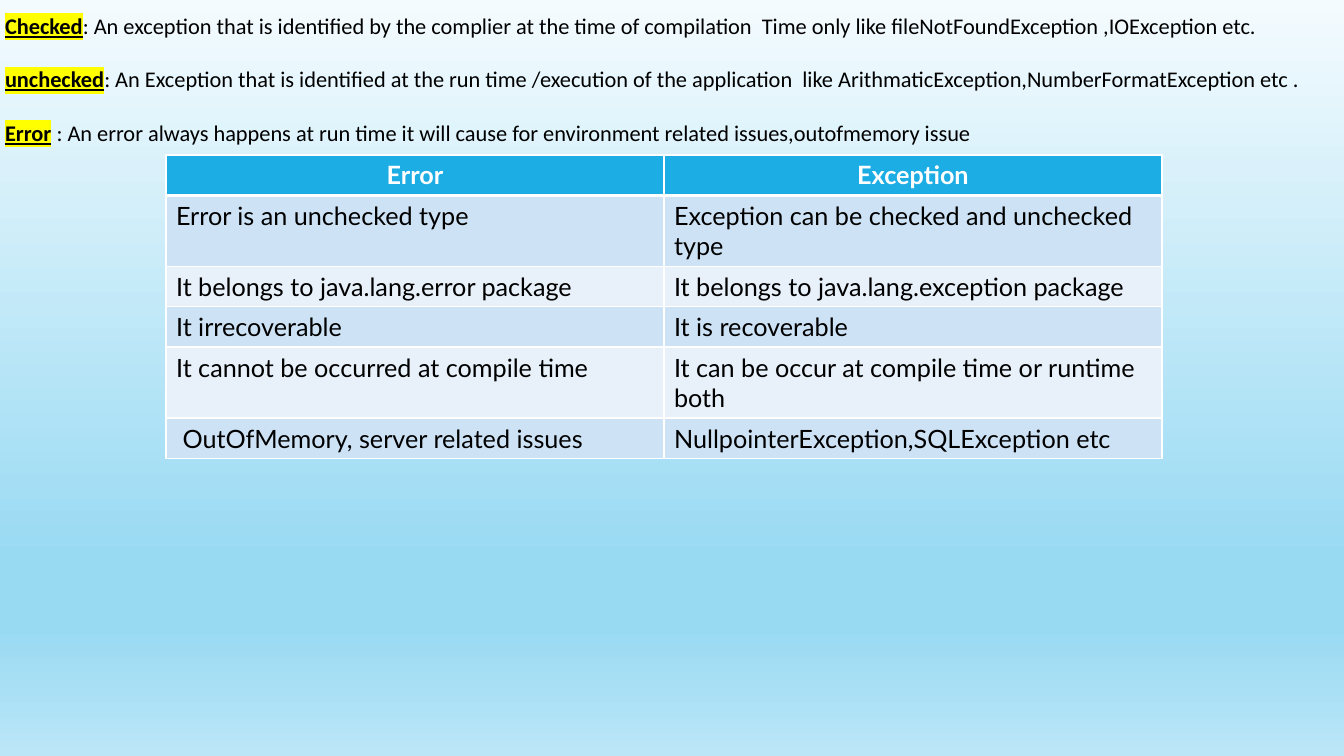
from dataclasses import dataclass

from lxml import etree
from pptx import Presentation
from pptx.dml.color import RGBColor
from pptx.enum.text import MSO_AUTO_SIZE, MSO_VERTICAL_ANCHOR, PP_ALIGN
from pptx.oxml.ns import qn
from pptx.util import Pt

PX = 914400 / 100.8
CENTER, LEFT = PP_ALIGN.CENTER, PP_ALIGN.LEFT
TOP = MSO_VERTICAL_ANCHOR.TOP
NO_AUTOFIT = MSO_AUTO_SIZE.NONE
TITLE_AND_CONTENT = 1


@dataclass(frozen=True)
class Theme:
    """Colours, fonts and type sizes of the slide."""
    sky: tuple = ((0, "F4FBFE"), (74, "99DAF3"), (83, "99DAF3"), (100, "BBE6F7"))
    ink: str = "000000"
    white: str = "FFFFFF"
    marker: str = "FFFF00"
    header: str = "1CADE4"
    bands: tuple = ("CDE3F5", "E8F1FA")
    body_font: str = "Calibri"
    table_font: str = "Lato"
    body_size: int = 16
    table_size: int = 18
    paragraph_gap: int = 19


THEME = Theme()

DEFINITIONS = (
    ("Checked", ": An exception that is identified by the complier at the time of compilation  "
                "Time only like fileNotFoundException ,IOException etc."),
    ("unchecked", ": An Exception that is identified at the run time /execution of the application  "
                  "like ArithmaticException,NumberFormatException etc ."),
    ("Error", " : An error always happens at run time it will cause for environment "
              "related issues,outofmemory issue"),
)

COMPARISON = (
    ("Error", "Exception"),
    ("Error is an unchecked type", "Exception can be checked and unchecked type"),
    ("It belongs to java.lang.error package", "It belongs to java.lang.exception package"),
    ("It irrecoverable", "It is recoverable"),
    ("It cannot be occurred at compile time", "It can be occur at compile time or runtime both"),
    (" OutOfMemory, server related issues", "NullpointerException,SQLException etc"),
)


def px(length):
    """Turn pixels into EMU."""
    return round(length * PX)


def add_color(parent, color):
    """Append an RGB colour element."""
    etree.SubElement(parent, qn("a:srgbClr"), val=color)


def style_run(run, font, size, color, bold):
    """Apply the basic type settings to a run."""
    run.font.name = font
    run.font.size = Pt(size)
    run.font.bold = bold
    run.font.color.rgb = RGBColor.from_string(color)


def paint_background(slide):
    """Fill the slide background with the sky gradient."""
    fill = slide.background.fill
    fill.gradient()
    fill.gradient_angle = 270
    stops = slide.element.xpath(".//a:gsLst")[0]
    for stop in list(stops):
        stops.remove(stop)
    for percent, color in THEME.sky:
        add_color(etree.SubElement(stops, qn("a:gs"), pos=str(percent * 1000)), color)


def mark_term(run):
    """Underline and highlight a defined term."""
    run.font.underline = True
    highlight = etree.Element(qn("a:highlight"))
    add_color(highlight, THEME.marker)
    run.font.fill.solid()
    run.font.color.rgb = RGBColor.from_string(THEME.ink)
    run.font._element.find(qn("a:solidFill")).addnext(highlight)


def place_definitions(body, left, top, width, height):
    """Put the definitions into the body placeholder."""
    body.left, body.top, body.width, body.height = map(px, (left, top, width, height))
    frame = body.text_frame
    frame.word_wrap = True
    frame.auto_size = NO_AUTOFIT
    frame.vertical_anchor = TOP
    frame.margin_left = frame.margin_right = frame.margin_top = frame.margin_bottom = px(5)
    for index, (term, meaning) in enumerate(DEFINITIONS):
        paragraph = frame.paragraphs[0] if index == 0 else frame.add_paragraph()
        paragraph.alignment = LEFT
        paragraph.line_spacing = 1.0
        paragraph.space_before = Pt(0)
        paragraph.space_after = Pt(THEME.paragraph_gap)
        properties = paragraph._p.get_or_add_pPr()
        properties.set("marL", "0")
        properties.set("indent", "0")
        etree.SubElement(properties, qn("a:buNone"))
        for text, is_term in ((term, True), (meaning, False)):
            run = paragraph.add_run()
            run.text = text
            style_run(run, THEME.body_font, THEME.body_size, THEME.ink, is_term)
            if is_term:
                mark_term(run)


def draw_borders(cell, top_width, bottom_width):
    """Give a cell white borders, with widths in points."""
    properties = cell._tc.get_or_add_tcPr()
    widths = {"a:lnL": 1, "a:lnR": 1, "a:lnT": top_width, "a:lnB": bottom_width}
    for index, (side, width) in enumerate(widths.items()):
        border = etree.Element(qn(side), w=str(Pt(width)))
        add_color(etree.SubElement(border, qn("a:solidFill")), THEME.white)
        properties.insert(index, border)


def add_comparison(slide, left, top, width, single_height, double_height):
    """Add the table that compares errors with exceptions."""
    heights = [double_height if row in (1, 4) else single_height for row in range(len(COMPARISON))]
    columns = len(COMPARISON[0])
    box = map(px, (left, top, width, sum(heights)))
    table = slide.shapes.add_table(len(COMPARISON), columns, *box).table
    for column in table.columns:
        column.width = px(width / columns)
    for index, (texts, height) in enumerate(zip(COMPARISON, heights)):
        table.rows[index].height = px(height)
        is_header = index == 0
        fill = THEME.header if is_header else THEME.bands[(index - 1) % 2]
        for column, text in enumerate(texts):
            cell = table.cell(index, column)
            cell.fill.solid()
            cell.fill.fore_color.rgb = RGBColor.from_string(fill)
            draw_borders(cell, 3 if index == 1 else 1, 3 if is_header else 1)
            paragraph = cell.text_frame.paragraphs[0]
            paragraph.text = text
            paragraph.alignment = CENTER if is_header else LEFT
            style_run(paragraph.runs[0], THEME.table_font, THEME.table_size,
                      THEME.white if is_header else THEME.ink, is_header)


def build_exception_slide(deck):
    """Build the slide about exceptions and errors."""
    slide = deck.slides.add_slide(deck.slide_layouts[TITLE_AND_CONTENT])
    title = slide.shapes.title.element
    title.getparent().remove(title)
    paint_background(slide)
    place_definitions(slide.placeholders[1], 0, 7, 1328, 406)
    add_comparison(slide, 166, 155, 996, 40, 71)


def main():
    """Create and save the presentation."""
    deck = Presentation()
    deck.slide_width, deck.slide_height = px(1344), px(756)
    build_exception_slide(deck)
    deck.save("out.pptx")


if __name__ == "__main__":
    main()
